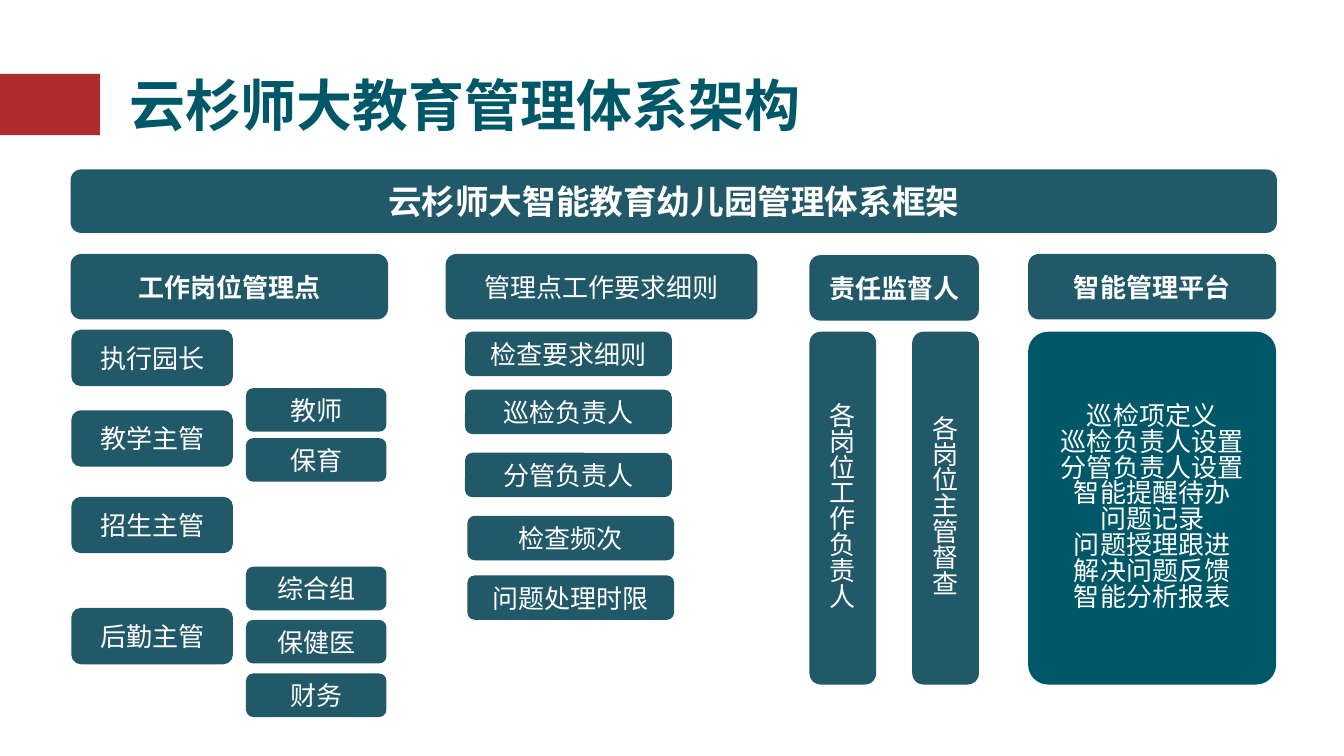
"""Build a one-slide chart of a kindergarten management framework."""
from pptx import Presentation
from pptx import util as u
from pptx.dml.color import RGBColor
from pptx.enum import shapes, text
from pptx.oxml.ns import qn
from lxml import etree

FONT = "Noto Sans CJK SC"
TEAL, SLATE, RED, WHITE = "005768", "215968", "AE2C2E", "FFFFFF"
ROUNDED = shapes.MSO_SHAPE.FLOWCHART_ALTERNATE_PROCESS


def write(frame, lines, size, color, bold=False, align=text.PP_ALIGN.CENTER, spacing=None):
    frame.word_wrap = True
    frame.auto_size = text.MSO_AUTO_SIZE.NONE
    frame.vertical_anchor = text.MSO_ANCHOR.MIDDLE
    frame.text = "\n".join(lines)
    for para in frame.paragraphs:
        para.alignment = align
        para.line_spacing = spacing
        font = para.font
        font.name, font.size, font.bold = FONT, u.Pt(size), bold
        font.color.rgb = RGBColor.from_string(color)
        defaults = para._p.pPr.find(qn("a:defRPr"))
        etree.SubElement(defaults, qn("a:ea")).set("typeface", FONT)


def add_box(left, top, width, height, lines=(), size=18.6, bold=False,
            fill=SLATE, kind=ROUNDED, spacing=None):
    box = page.shapes.add_shape(kind, u.Cm(left), u.Cm(top), u.Cm(width), u.Cm(height))
    box.shadow.inherit = False
    box.fill.solid()
    box.fill.fore_color.rgb = RGBColor.from_string(fill)
    box.line.fill.background()
    if lines:
        write(box.text_frame, lines, size, WHITE, bold, spacing=spacing)
    return box


deck = Presentation()
deck.slide_width, deck.slide_height = u.Cm(33.87), u.Cm(19.05)
page = deck.slides.add_slide(deck.slide_layouts[5])

title = page.shapes.title
title.left, title.top, title.width, title.height = u.Cm(3), u.Cm(1.04), u.Cm(18.26), u.Cm(3.18)
write(title.text_frame, ["云杉师大教育管理体系架构"], 40, TEAL, True, text.PP_ALIGN.LEFT)
add_box(0, 1.86, 2.52, 1.55, fill=RED, kind=shapes.MSO_SHAPE.RECTANGLE)

add_box(1.78, 4.27, 30.4, 1.6, ["云杉师大智能教育幼儿园管理体系框架"], 24, True)

headers = [
    (1.78, 6.4, 8, "工作岗位管理点", True),
    (11.23, 6.4, 7.86, "管理点工作要求细则", False),
    (20.4, 6.43, 4.27, "责任监督人", True),
    (25.91, 6.4, 6.25, "智能管理平台", True),
]
for left, top, width, label, bold in headers:
    add_box(left, top, width, 1.65, [label], bold=bold)

supervisors = [(8.31, "执行园长"), (10.34, "教学主管"), (12.52, "招生主管"), (15.32, "后勤主管")]
for top, label in supervisors:
    add_box(1.8, top, 4.07, 1.42, [label])

teams = [(9.78, "教师"), (11.04, "保育"), (14.28, "综合组"), (15.62, "保健医"), (16.97, "财务")]
for top, label in teams:
    add_box(6.2, top, 3.54, 1.1, [label])

requirements = [
    (11.72, 8.36, "检查要求细则"),
    (11.72, 9.82, "巡检负责人"),
    (11.72, 11.41, "分管负责人"),
    (11.78, 13, "检查频次"),
    (11.78, 14.5, "问题处理时限"),
]
for left, top, label in requirements:
    add_box(left, top, 5.21, 1.12, [label])

for left, label in [(20.4, "各岗位工作负责人"), (22.99, "各岗位主管督查")]:
    add_box(left, 8.36, 1.68, 8.89, [label], spacing=0.83)

functions = ["巡检项定义", "巡检负责人设置", "分管负责人设置", "智能提醒待办",
             "问题记录", "问题授理跟进", "解决问题反馈", "智能分析报表"]
platform = add_box(25.91, 8.36, 6.25, 8.89, functions, fill=TEAL,
                   kind=shapes.MSO_SHAPE.ROUNDED_RECTANGLE, spacing=0.83)
platform.adjustments[0] = 0.08

deck.save("out.pptx")
